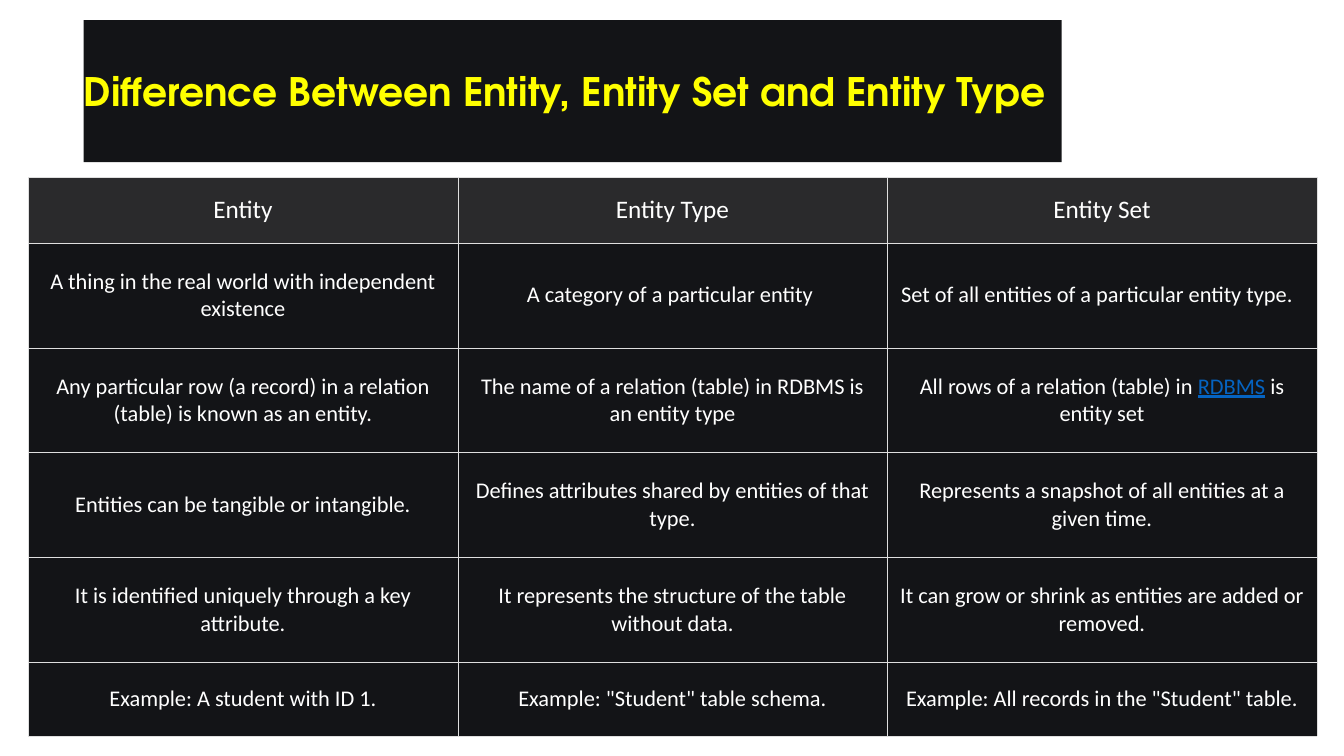
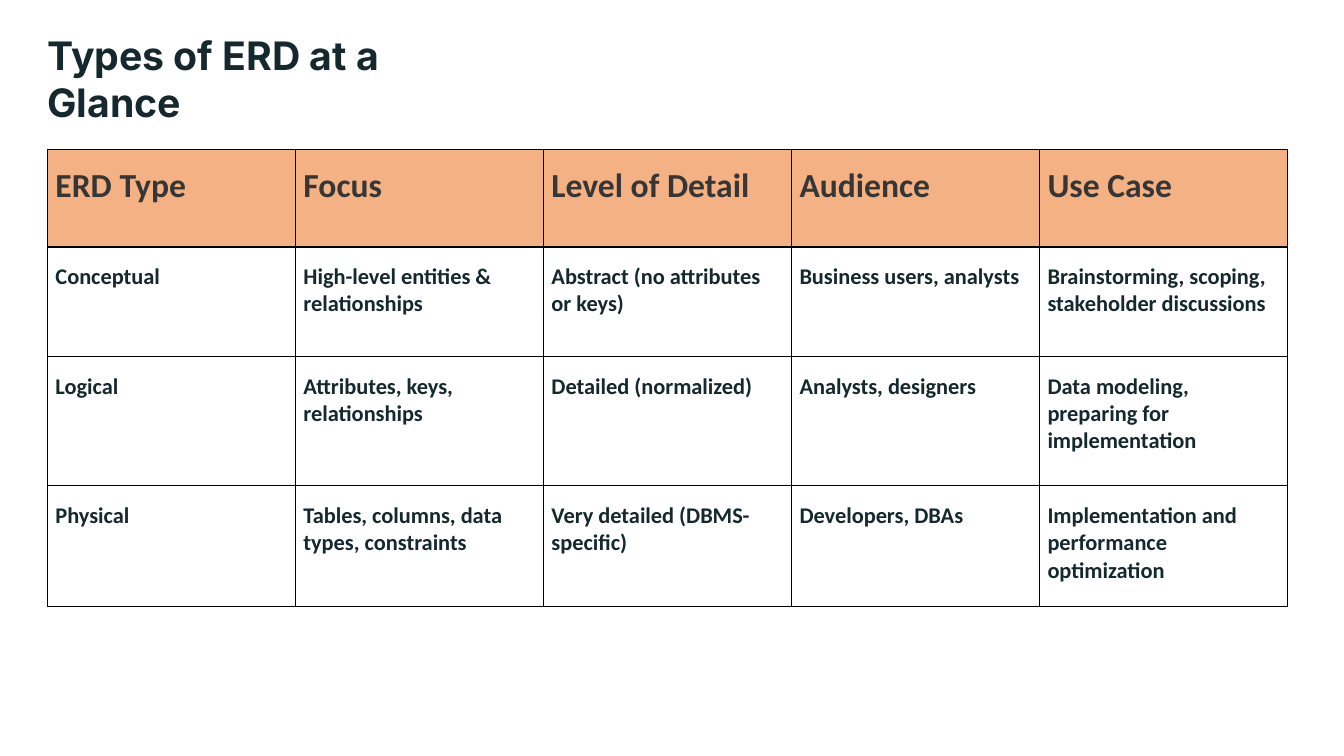
from dataclasses import dataclass
from typing import Optional, Union

import lxml.etree
import pptx
import pptx.dml.color
import pptx.enum.shapes
import pptx.enum.text
import pptx.oxml.ns
import pptx.util

PX = 9144
ALIGN = pptx.enum.text.PP_ALIGN
ANCHOR = pptx.enum.text.MSO_ANCHOR
FIT = pptx.enum.text.MSO_AUTO_SIZE
Text = Union[str, tuple[str, str, str]]


@dataclass(frozen=True)
class Theme:
    white: str = "FFFFFF"
    black: str = "000000"
    night: str = "131417"
    coal: str = "2A2A2C"
    yellow: str = "FFFF00"
    link: str = "0563C1"
    silver: str = "DFDFDF"
    peach: str = "F4B183"
    gray: str = "363636"
    ink: str = "14282E"
    body: str = "Calibri"
    wide: str = "TeX Gyre Adventor"
    sans: str = "Inter"
    title: int = 28
    large: int = 24
    medium: int = 18
    small: int = 16


THEME = Theme()


@dataclass(frozen=True)
class Box:
    left: int
    top: int
    width: int
    height: int


@dataclass(frozen=True)
class Pad:
    left: int
    top: int
    right: int
    bottom: int


@dataclass(frozen=True)
class Type:
    font: str
    size: int
    color: str
    bold: bool = False


@dataclass(frozen=True)
class Title:
    text: str
    box: Box
    fill: str
    type: Type
    pad: Pad
    fit: FIT = FIT.NONE


@dataclass(frozen=True)
class Band:
    type: Type
    fill: Optional[str]
    pad: Pad


@dataclass(frozen=True)
class Grid:
    left: int
    top: int
    column: int
    rows: tuple[int, ...]
    head: Band
    body: Band
    edge: str
    weight: float
    align: ALIGN
    anchor: ANCHOR
    cells: tuple[tuple[Text, ...], ...]


def px(size: int) -> pptx.util.Emu:
    return pptx.util.Emu(size * PX)


def rgb(color: str) -> pptx.dml.color.RGBColor:
    return pptx.dml.color.RGBColor.from_string(color)


def style(line, kind: Type, align: ALIGN) -> None:
    line.alignment = align
    font = line.font
    font.name = kind.font
    font.size = pptx.util.Pt(kind.size)
    font.bold = kind.bold
    font.color.rgb = rgb(kind.color)


def inset(item, pad: Pad) -> None:
    item.margin_left, item.margin_top = px(pad.left), px(pad.top)
    item.margin_right, item.margin_bottom = px(pad.right), px(pad.bottom)


def border(cell, color: str, weight: float) -> None:
    props = cell._tc.get_or_add_tcPr()
    qn = pptx.oxml.ns.qn
    for place, side in enumerate(("a:lnL", "a:lnR", "a:lnT", "a:lnB")):
        edge = lxml.etree.Element(qn(side), w=str(int(pptx.util.Pt(weight))))
        fill = lxml.etree.SubElement(edge, qn("a:solidFill"))
        lxml.etree.SubElement(fill, qn("a:srgbClr"), val=color)
        props.insert(place, edge)


def fill_cell(cell, text: Text, band: Band, grid: Grid) -> None:
    if band.fill:
        cell.fill.solid()
        cell.fill.fore_color.rgb = rgb(band.fill)
    else:
        cell.fill.background()
    inset(cell, band.pad)
    cell.vertical_anchor = grid.anchor
    line = cell.text_frame.paragraphs[0]
    parts = (text,) if isinstance(text, str) else text
    runs = [line.add_run() for _ in parts]
    for run, part in zip(runs, parts):
        run.text = part
    if len(runs) > 1:
        runs[1].font.color.rgb = rgb(THEME.link)
        runs[1].font.underline = True
    style(line, band.type, grid.align)
    border(cell, grid.edge, grid.weight)


def draw_grid(slide, grid: Grid) -> None:
    count = len(grid.cells[0])
    table = slide.shapes.add_table(
        len(grid.rows), count, px(grid.left), px(grid.top),
        px(grid.column * count), px(sum(grid.rows))).table
    table.first_row = table.horz_banding = False
    for column in table.columns:
        column.width = px(grid.column)
    for index, (height, texts) in enumerate(zip(grid.rows, grid.cells)):
        table.rows[index].height = px(height)
        band = grid.body if index else grid.head
        for place, text in enumerate(texts):
            fill_cell(table.cell(index, place), text, band, grid)


def draw_title(slide, title: Title) -> None:
    box = title.box
    shape = slide.shapes.add_shape(
        pptx.enum.shapes.MSO_SHAPE.RECTANGLE,
        px(box.left), px(box.top), px(box.width), px(box.height))
    shape.shadow.inherit = False
    shape.fill.solid()
    shape.fill.fore_color.rgb = rgb(title.fill)
    shape.line.fill.background()
    frame = shape.text_frame
    frame.word_wrap = True
    frame.auto_size = title.fit
    frame.vertical_anchor = ANCHOR.MIDDLE
    inset(frame, title.pad)
    frame.text = title.text
    style(frame.paragraphs[0], title.type, ALIGN.LEFT)


ROOMY = Pad(8, 16, 8, 16)

PAGES = (
    (
        Grid(
            28, 176, 426, (65, 104, 104, 104, 104, 73),
            Band(Type(THEME.body, THEME.medium, THEME.white),
                 THEME.coal, Pad(10, 10, 10, 10)),
            Band(Type(THEME.body, THEME.small, THEME.white),
                 THEME.night, Pad(10, 15, 10, 15)),
            THEME.silver, 0.23, ALIGN.CENTER, ANCHOR.MIDDLE,
            (
                ("Entity", "Entity Type", "Entity Set"),
                ("A thing in the real world with independent existence",
                 "A category of a particular entity ",
                 "Set of all entities of a particular entity type.  "),
                ("Any particular row (a record) in a relation (table) is known as an entity.",
                 "The name of a relation (table) in RDBMS is an entity type",
                 ("All rows of a relation (table) in ", "RDBMS", " is entity set")),
                ("Entities can be tangible or intangible.",
                 "Defines attributes shared by entities of that type.",
                 "Represents a snapshot of all entities at a given time."),
                ("It is identified uniquely through a key attribute.",
                 "It represents the structure of the table without data.",
                 "It can grow or shrink as entities are added or removed."),
                ("Example: A student with ID 1.",
                 'Example: "Student" table schema.',
                 'Example: All records in the "Student" table.'),
            ),
        ),
        Title("Difference Between Entity, Entity Set and Entity Type",
              Box(83, 20, 970, 141), THEME.night,
              Type(THEME.wide, THEME.title, THEME.yellow, True),
              Pad(0, 0, 0, 0)),
    ),
    (
        Grid(
            47, 148, 246, (97, 109, 128, 120),
            Band(Type(THEME.body, THEME.large, THEME.gray, True),
                 THEME.peach, ROOMY),
            Band(Type(THEME.body, THEME.small, THEME.ink, True), None, ROOMY),
            THEME.black, 1, ALIGN.LEFT, ANCHOR.TOP,
            (
                ("ERD Type", "Focus", "Level of Detail", "Audience", "Use Case"),
                ("Conceptual", "High-level entities & relationships",
                 "Abstract (no attributes or keys)", "Business users, analysts",
                 "Brainstorming, scoping, stakeholder discussions"),
                ("Logical", "Attributes, keys, relationships",
                 "Detailed (normalized)", "Analysts, designers",
                 "Data modeling, preparing for implementation"),
                ("Physical", "Tables, columns, data types, constraints",
                 "Very detailed (DBMS-specific)", "Developers, DBAs",
                 "Implementation and performance optimization"),
            ),
        ),
        Title("Types of ERD at a Glance", Box(47, 31, 455, 82), THEME.white,
              Type(THEME.sans, THEME.title, THEME.ink, True),
              Pad(0, 23, 0, 12), FIT.SHAPE_TO_FIT_TEXT),
    ),
)


def main() -> None:
    deck = pptx.Presentation()
    deck.slide_width, deck.slide_height = px(1333), px(750)
    for grid, title in PAGES:
        slide = deck.slides.add_slide(deck.slide_layouts[6])
        draw_grid(slide, grid)
        draw_title(slide, title)
    deck.save("out.pptx")


if __name__ == "__main__":
    main()
